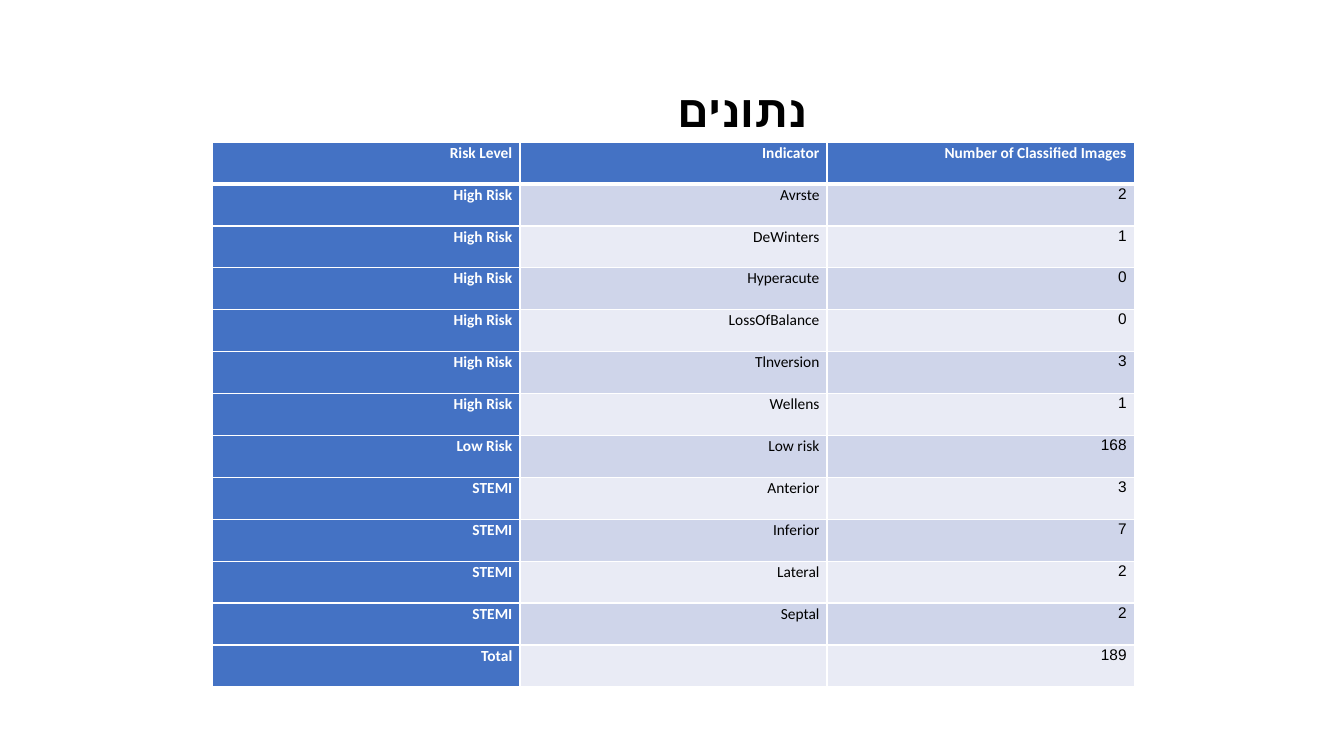
from lxml.etree import SubElement
from pptx import Presentation
from pptx.dml.color import RGBColor
from pptx.enum.text import MSO_ANCHOR, PP_ALIGN
from pptx.oxml.ns import qn
from pptx.util import Pt

# Content
TITLE = "נתונים"
HEADER = ("Risk Level", "Indicator", "Number of Classified Images")
INDICATORS = [
    ("High Risk", "Avrste", "2"),
    ("High Risk", "DeWinters", "1"),
    ("High Risk", "Hyperacute", "0"),
    ("High Risk", "LossOfBalance", "0"),
    ("High Risk", "Tlnversion", "3"),
    ("High Risk", "Wellens", "1"),
    ("Low Risk", "Low risk", "168"),
    ("STEMI", "Anterior", "3"),
    ("STEMI", "Inferior", "7"),
    ("STEMI", "Lateral", "2"),
    ("STEMI", "Septal", "2"),
    ("Total", "", "189"),
]
BLUE, WHITE, BLACK = "4472C4", "FFFFFF", "000000"
BANDS = ("E9EBF5", "CFD5EA")

# Layout in points
SLIDE_WIDTH, SLIDE_HEIGHT = 960, 540
TITLE_BOX = (336.2, 55.4, 388.1, 46.1)
TABLE_LEFT, TABLE_TOP = 152, 101.5
COLUMN_WIDTH, ROW_HEIGHT = 219.4, 29.96


def color(value):
    return RGBColor.from_string(value)


def write(frame, text, *, size, fill, bold, align, script_font="Calibri",
          line_spacing=None, space_after=None):
    """Write one right-to-left paragraph."""
    paragraph = frame.paragraphs[0]
    paragraph.alignment = align
    paragraph.line_spacing = line_spacing
    paragraph.space_after = space_after
    paragraph._p.get_or_add_pPr().set("rtl", "1")
    run = paragraph.add_run()
    run.text = text
    font = run.font
    font.size, font.bold, font.name = Pt(size), bold, "Calibri"
    font.color.rgb = color(fill)
    SubElement(run._r.get_or_add_rPr(), qn("a:cs"), typeface=script_font)


def add_borders(cell, **widths):
    properties = cell._tc.get_or_add_tcPr()
    for side in "LRTB":
        line = SubElement(properties, qn(f"a:ln{side}"),
                          w=str(Pt(widths.get(side, 1))))
        solid = SubElement(line, qn("a:solidFill"))
        SubElement(solid, qn("a:srgbClr"), val=WHITE)


presentation = Presentation()
presentation.slide_width = Pt(SLIDE_WIDTH)
presentation.slide_height = Pt(SLIDE_HEIGHT)
slide = presentation.slides.add_slide(presentation.slide_layouts[5])

# Title
title = slide.shapes.title
title.left, title.top, title.width, title.height = map(Pt, TITLE_BOX)
title.text_frame.vertical_anchor = MSO_ANCHOR.TOP
write(title.text_frame, TITLE, size=32, fill=BLACK, bold=True,
      align=PP_ALIGN.CENTER)

# Table of classified images
rows = [HEADER, *INDICATORS]
table = slide.shapes.add_table(
    len(rows), len(HEADER), Pt(TABLE_LEFT), Pt(TABLE_TOP),
    Pt(COLUMN_WIDTH * len(HEADER)), Pt(ROW_HEIGHT * len(rows))).table
for column in table.columns:
    column.width = Pt(COLUMN_WIDTH)
for row in table.rows:
    row.height = Pt(ROW_HEIGHT)

for row_index, row in enumerate(rows):
    for column_index, text in enumerate(row):
        cell = table.cell(row_index, column_index)
        heading = row_index == 0 or column_index == 0
        cell.margin_left = cell.margin_right = Pt(5.4)
        cell.margin_top = cell.margin_bottom = Pt(0)
        # Thick rule under the header row
        add_borders(cell, T=3 if row_index == 1 else 1,
                    B=3 if row_index == 0 else 1)
        cell.fill.solid()
        cell.fill.fore_color.rgb = color(BLUE if heading else BANDS[row_index % 2])
        if text:
            write(cell.text_frame, text, size=11, bold=heading,
                  fill=WHITE if heading else BLACK, align=PP_ALIGN.RIGHT,
                  script_font="Arial" if text.isdigit() else "Calibri",
                  line_spacing=1.07, space_after=Pt(8))

presentation.save("out.pptx")
